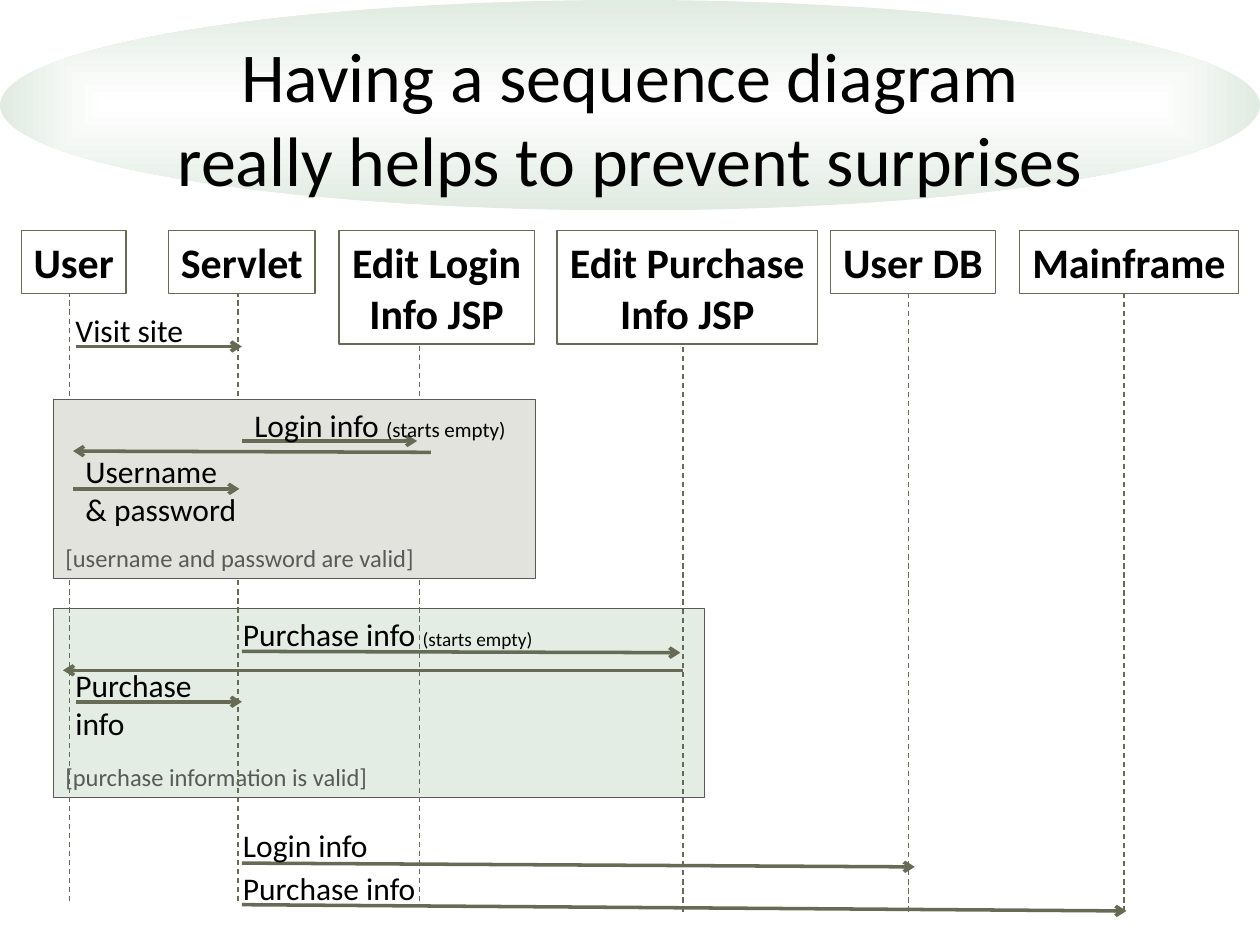
import pptx
import pptx.util
import pptx.dml.color
import pptx.enum.dml
import pptx.enum.shapes
import pptx.enum.text
import pptx.oxml
import pptx.oxml.ns
from pptx.util import Inches, Pt

COLORS = {"ink": "000000", "paper": "FFFFFF", "olive": "676A55", "gray": "595959",
          "login": "E2E3DC", "purchase": "E3EDE4", "oval_edge": "E0EBE1"}
FONT = "Calibri"
TITLE = "Having a sequence diagram\vreally helps to prevent surprises"

# Name, head left, head width, lifeline x, lifeline top
PARTICIPANTS = [
    ("User", 0.17, 0.83, 0.55, 2.17),
    ("Servlet", 1.34, 1.16, 1.89, 2.17),
    ("Edit Login\vInfo JSP", 2.69, 1.55, 3.33, 2.17),
    ("Edit Purchase\vInfo JSP", 4.42, 2.07, 5.42, 2.25),
    ("User DB", 6.59, 1.31, 7.21, 2.25),
    ("Mainframe", 8.09, 1.74, 8.92, 2.25),
]
HEAD_TOP, LIFELINE_LENGTH = 1.83, 5

# Condition, fill, box
PURCHASE_LOOP = ("[purchase information is valid]", "purchase", (0.42, 4.83, 5.17, 1.5))
LOGIN_LOOP = ("[username and password are valid]", "login", (0.42, 3.17, 3.83, 1.42))

# Arrow (x1, y1, x2, y2), label box or None, label runs as (text, size)
MAIN_MESSAGES = [
    ((0.6, 2.75, 1.92, 2.75), (0.5, 2.42, 1.42, 0.4), [("Visit site", 18)]),
    ((1.92, 5.17, 5.4, 5.18), (1.83, 4.83, 3.75, 0.4),
     [("Purchase info ", 18), ("(starts empty)", 11)]),
    ((5.42, 5.32, 0.5, 5.32), None, []),
    ((0.6, 5.57, 1.92, 5.57), (0.5, 5.24, 1.42, 0.7), [("Purchase\vinfo", 18)]),
    ((1.92, 6.85, 7.26, 6.88), (1.83, 6.51, 5.75, 0.4), [("Login info", 18)]),
    ((1.92, 7.18, 8.94, 7.23), (1.83, 6.85, 7.33, 0.4), [("Purchase info", 18)]),
]
LOGIN_MESSAGES = [
    ((1.92, 3.5, 3.31, 3.5), (1.92, 3.17, 2.83, 0.4),
     [("Login info ", 18), ("(starts empty)", 12)]),
    ((3.42, 3.59, 0.58, 3.58), None, []),
    ((0.58, 3.88, 1.9, 3.88), (0.58, 3.54, 1.42, 0.7), [("Username & password", 18)]),
]


def rgb(name):
    return pptx.dml.color.RGBColor.from_string(COLORS[name])


def write(frame, text, size, color="ink", bold=False, centered=False):
    frame.text = text
    for paragraph in frame.paragraphs:
        font = paragraph.font
        font.name, font.size, font.bold = FONT, Pt(size), bold
        font.color.rgb = rgb(color)
        align = pptx.enum.text.PP_ALIGN
        paragraph.alignment = align.CENTER if centered else align.LEFT


def add_box(slide, kind, box, fill, line, width):
    shape = slide.shapes.add_shape(kind, *map(Inches, box))
    shape.shadow.inherit = False
    shape.fill.solid()
    shape.fill.fore_color.rgb = rgb(fill)
    shape.line.color.rgb = rgb(line)
    shape.line.width = Pt(width)
    return shape


def add_line(slide, ends, width, dashed=False, arrow=False):
    line = slide.shapes.add_connector(
        pptx.enum.shapes.MSO_CONNECTOR.STRAIGHT, *map(Inches, ends))
    line.line.color.rgb = rgb("olive")
    line.line.width = Pt(width)
    if dashed:
        line.line.dash_style = pptx.enum.dml.MSO_LINE.DASH
    properties = line._element.spPr
    if arrow:
        stroke = properties.find(pptx.oxml.ns.qn("a:ln"))
        stroke.append(pptx.oxml.parse_xml(
            f'<a:tailEnd {pptx.oxml.ns.nsdecls("a")} type="arrow"/>'))
    properties.append(pptx.oxml.parse_xml(f'<a:effectLst {pptx.oxml.ns.nsdecls("a")}/>'))


def add_loop(slide, condition, fill, box):
    loop = add_box(slide, RECTANGLE, box, fill, "gray", 0.25)
    loop.text_frame.word_wrap = True
    loop.text_frame.vertical_anchor = pptx.enum.text.MSO_ANCHOR.BOTTOM
    write(loop.text_frame, condition, 14, "gray")


def add_messages(slide, messages):
    for ends, box, runs in messages:
        add_line(slide, ends, 2, arrow=True)
        if box is None:
            continue
        frame = slide.shapes.add_textbox(*map(Inches, box)).text_frame
        frame.word_wrap = True
        (text, size), *notes = runs
        write(frame, text, size)
        for note, note_size in notes:
            run = frame.paragraphs[0].add_run()
            run.text, run.font.size = note, Pt(note_size)


RECTANGLE = pptx.enum.shapes.MSO_SHAPE.RECTANGLE


def main():
    deck = pptx.Presentation()
    deck.slide_width, deck.slide_height = Inches(10), Inches(7.5)
    slide = deck.slides.add_slide(deck.slide_layouts[5])

    # Oval backdrop, behind the title
    oval = add_box(slide, pptx.enum.shapes.MSO_SHAPE.OVAL, (0, 0, 10, 1.67),
                   "paper", "paper", 0.75)
    oval.line.fill.background()
    oval.fill.gradient()
    for stop, color in zip(oval.fill.gradient_stops, ("paper", "oval_edge")):
        stop.color.rgb = rgb(color)
    gradient = oval._element.spPr.find(pptx.oxml.ns.qn("a:gradFill"))
    gradient.replace(gradient.find(pptx.oxml.ns.qn("a:lin")), pptx.oxml.parse_xml(
        f'<a:path {pptx.oxml.ns.nsdecls("a")} path="rect">'
        '<a:fillToRect l="50000" t="50000" r="50000" b="50000"/></a:path>'))
    slide.shapes._spTree.insert(2, oval._element)

    # Title
    title = slide.shapes.title
    title.left, title.top, title.width, title.height = map(Inches, (0.5, 0.3, 9, 1.25))
    title.text_frame.auto_size = pptx.enum.text.MSO_AUTO_SIZE.NONE
    title.text_frame.vertical_anchor = pptx.enum.text.MSO_ANCHOR.MIDDLE
    write(title.text_frame, TITLE, 40, centered=True)

    # Purchase loop lies under the lifelines
    add_loop(slide, *PURCHASE_LOOP)

    # Lifelines, then participant heads over their tops
    for _, _, _, x, top in PARTICIPANTS:
        add_line(slide, (x, top, x, top + LIFELINE_LENGTH), 0.75, dashed=True)
    for name, left, width, _, _ in PARTICIPANTS:
        height = 0.5 + 0.4 * name.count("\v")
        head = add_box(slide, RECTANGLE, (left, HEAD_TOP, width, height),
                       "paper", "olive", 0.75)
        head.text_frame.word_wrap = False
        write(head.text_frame, name, 24, bold=True, centered=True)

    # Messages; the login loop covers the lifelines
    add_messages(slide, MAIN_MESSAGES)
    add_loop(slide, *LOGIN_LOOP)
    add_messages(slide, LOGIN_MESSAGES)

    deck.save("out.pptx")


if __name__ == "__main__":
    main()
